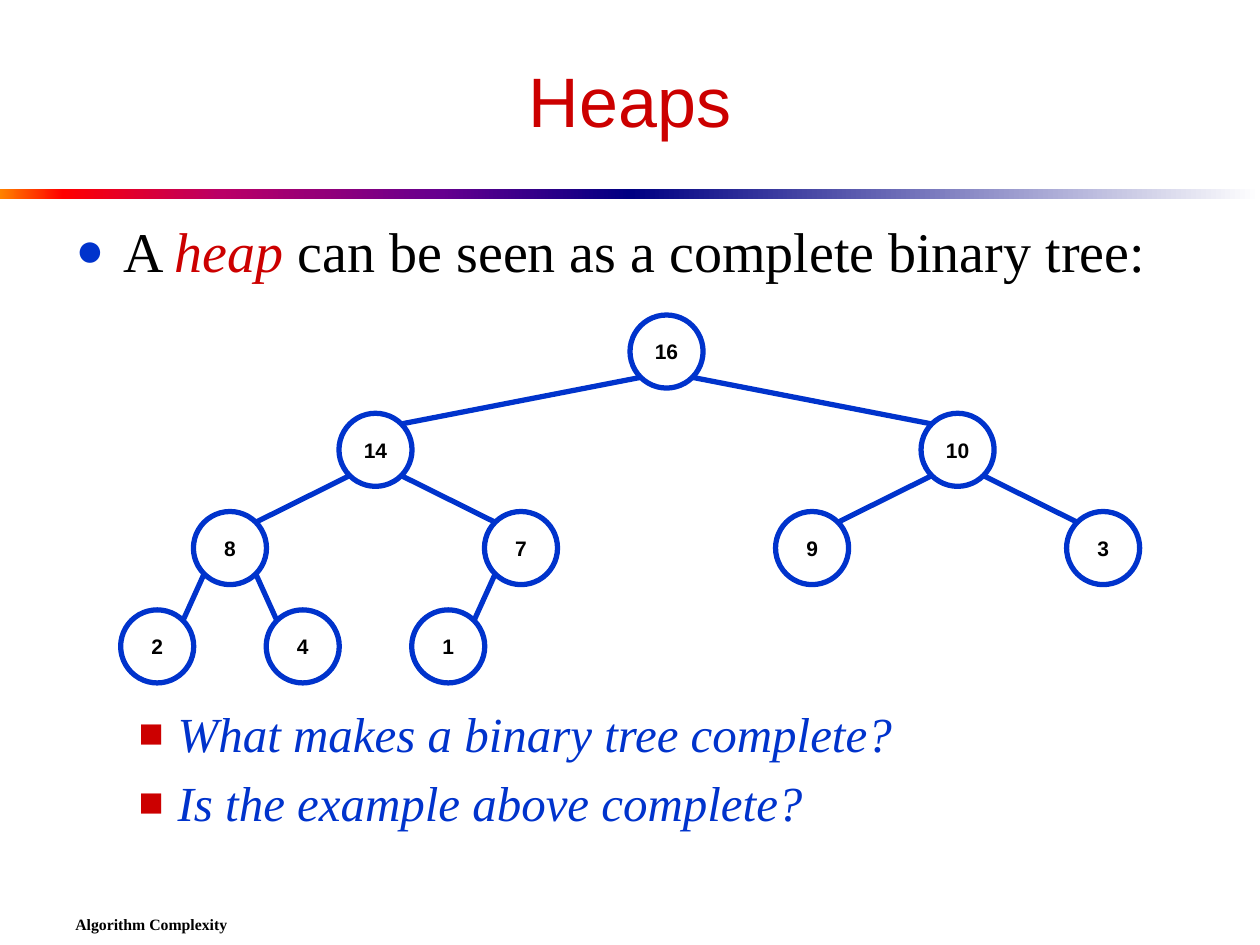
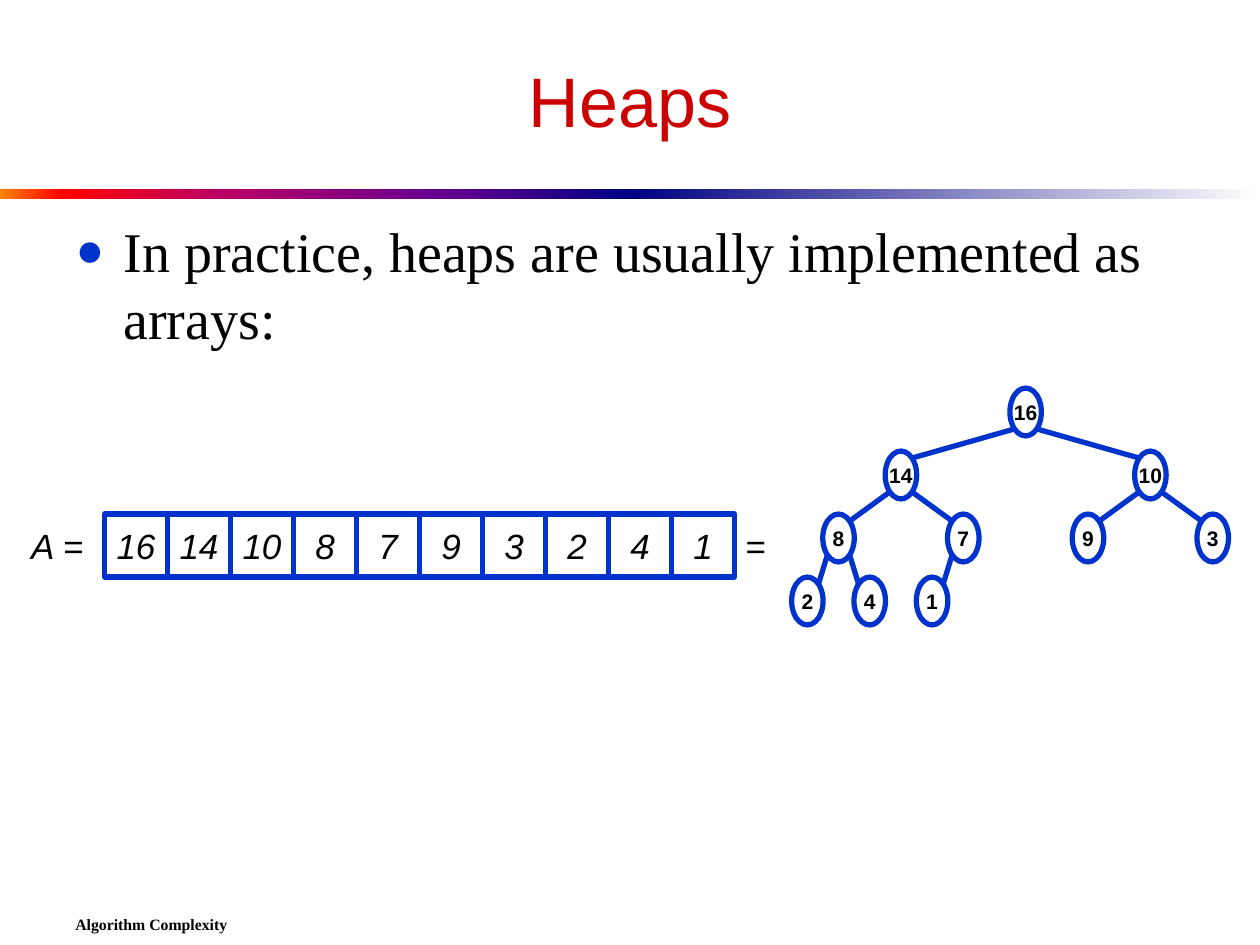
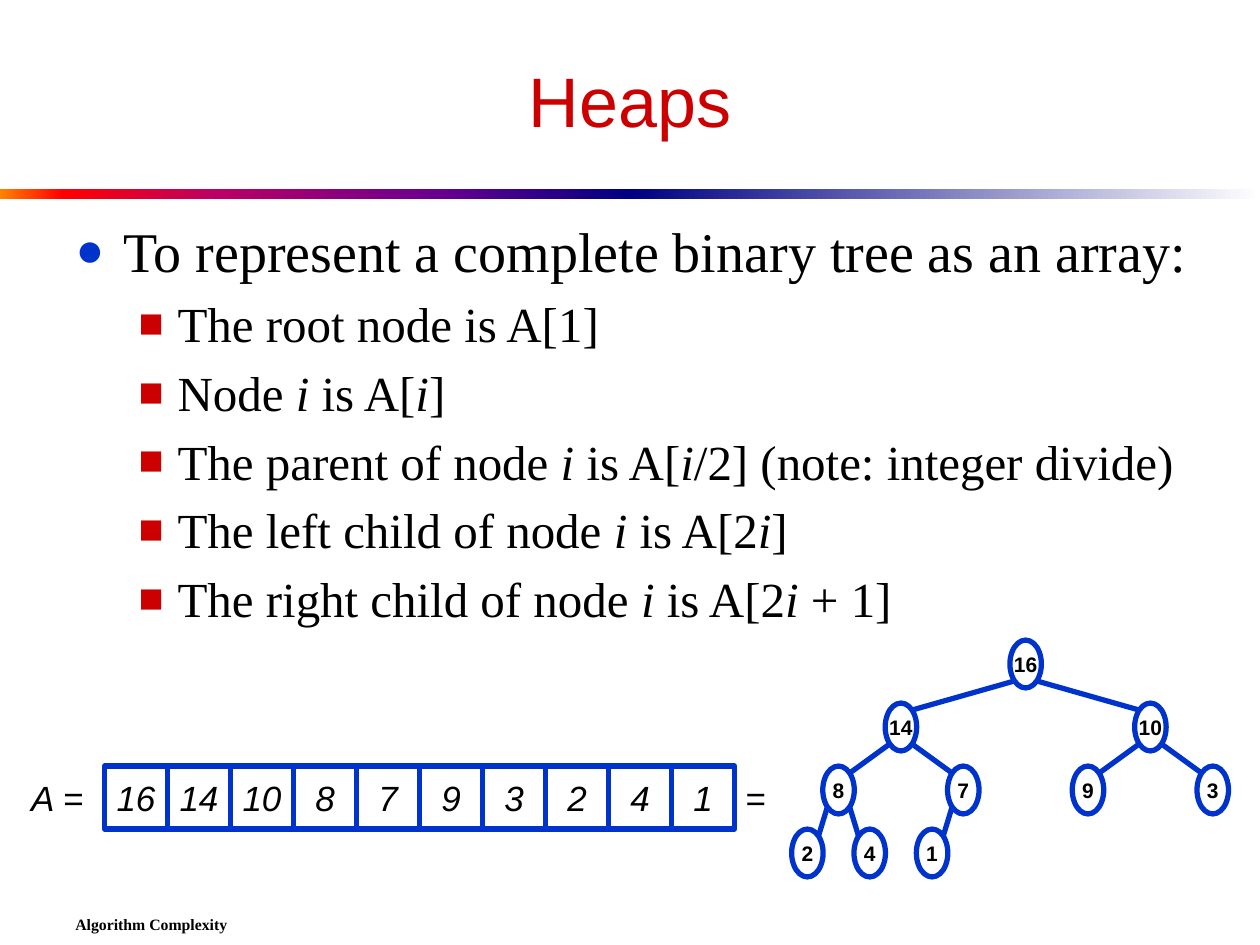
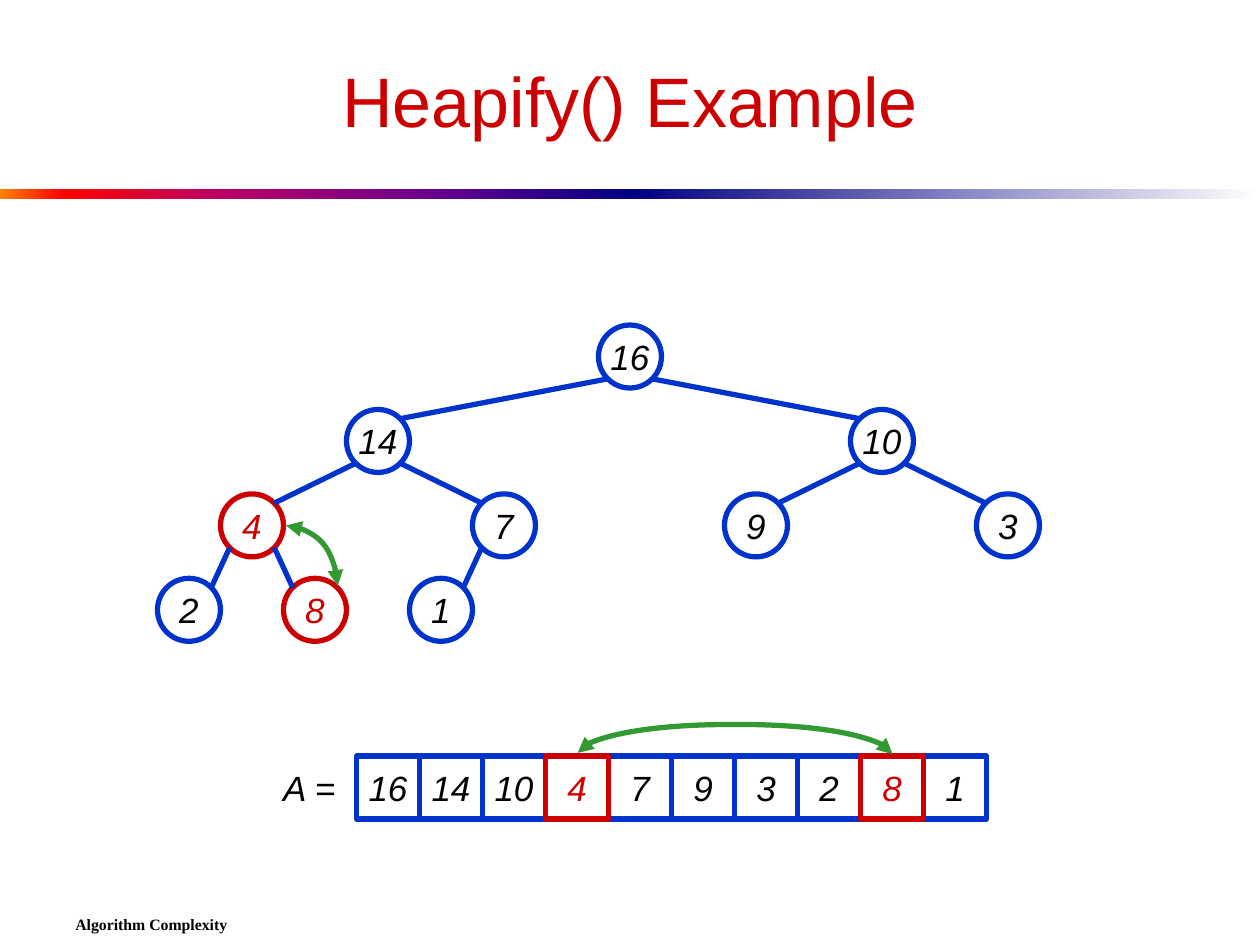
from math import cos, pi
from lxml.etree import SubElement
from pptx import Presentation
from pptx.dml.color import RGBColor
from pptx.enum.dml import MSO_LINE
from pptx.enum.shapes import MSO_CONNECTOR, MSO_SHAPE
from pptx.enum.text import MSO_ANCHOR, MSO_AUTO_SIZE, PP_ALIGN
from pptx.oxml.ns import qn
from pptx.util import Inches, Pt

RED, BLUE, GREEN, BLACK, WHITE = "CC0000", "0033CC", "339933", "000000", "FFFFFF"
SANS, SERIF = "Arial", "Times New Roman"
FOOTER = "Algorithm Complexity"
BANDS = [
    (0, [(0, "FF8200"), (10, "FF0000"), (35, "BA0066"), (70, "66008F"), (100, "000082")]),
    (5, [(0, "000082"), (100, WHITE)]),
]
LEVELS = [
    {"size": 32, "margin": 0.38, "hanging": 0.38, "bullet": "●", "color": BLUE},
    {"size": 28, "margin": 0.81, "hanging": 0.31, "bullet": "■", "color": RED},
]

HEAP = [16, 14, 10, 8, 7, 9, 3, 2, 4, 1]
UNORDERED = [16, 14, 10, 4, 7, 9, 3, 2, 8, 1]
SWAPPED = (3, 8)
CELL = 0.5
TREE_GAP = 240

LARGE_TREE = {"spread": 2.31, "row": 0.78, "width": 0.58, "height": 0.58, "size": 12, "bold": True}
SMALL_TREE = {"spread": 0.99, "row": 0.5, "width": 0.25, "height": 0.38, "size": 12, "bold": True}
SWAP_TREE = {"spread": 2, "row": 0.67, "width": 0.5, "height": 0.5, "size": 20, "italic": True}

TREE_POINTS = [
    (0, "A *heap* can be seen as a complete binary tree:", RED),
    (1, "*What makes a binary tree complete?*", BLUE),
    (1, "*Is the example above complete?*", BLUE),
]
ARRAY_POINTS = [(0, "In practice, heaps are usually implemented as arrays:", BLACK)]
INDEX_POINTS = [
    (0, "To represent a complete binary tree as an array:", BLACK),
    (1, "The root node is A[1]", BLACK),
    (1, "Node *i* is A[*i*]", BLACK),
    (1, "The parent of node *i* is A[*i*/2] (note: integer divide)", BLACK),
    (1, "The left child of node *i* is A[2*i*]", BLACK),
    (1, "The right child of node *i* is A[2*i* + 1]", BLACK),
]

presentation = Presentation()
presentation.slide_width, presentation.slide_height = Inches(10), Inches(7.5)
CONTENT_LAYOUT, TITLE_LAYOUT = presentation.slide_layouts[1], presentation.slide_layouts[5]


def rgb(color):
    return RGBColor.from_string(color)


def place(shape, left, top, width, height):
    shape.left, shape.top = Inches(left), Inches(top)
    shape.width, shape.height = Inches(width), Inches(height)


def set_font(font, name, size, color, bold=False, italic=False):
    font.name, font.size = name, Pt(size)
    font.bold, font.italic = bold, italic
    font.color.rgb = rgb(color)


def write_centred(shape, text, size, color=BLACK, bold=False, italic=False):
    frame = shape.text_frame
    frame.word_wrap = False
    frame.vertical_anchor = MSO_ANCHOR.MIDDLE
    frame.margin_left = frame.margin_right = frame.margin_top = frame.margin_bottom = 0
    paragraph = frame.paragraphs[0]
    paragraph.text = str(text)
    paragraph.alignment = PP_ALIGN.CENTER
    set_font(paragraph.font, SANS, size, color, bold, italic)


def add_box(slide, kind, left, top, width, height, text, color, **style):
    shape = slide.shapes.add_shape(kind, Inches(left), Inches(top), Inches(width), Inches(height))
    shape.shadow.inherit = False
    shape.fill.solid()
    shape.fill.fore_color.rgb = rgb(WHITE)
    shape.line.color.rgb = rgb(color)
    shape.line.width = Pt(3)
    write_centred(shape, text, color=RED if color == RED else BLACK, **style)


def add_label(slide, text, left, top, width):
    label = slide.shapes.add_textbox(Inches(left), Inches(top), Inches(width), Inches(CELL))
    write_centred(label, text, 20, italic=True)


def add_line(slide, start, end, color=BLUE, kind=MSO_CONNECTOR.STRAIGHT):
    line = slide.shapes.add_connector(kind, *(Inches(value) for value in (*start, *end)))
    line.line.color.rgb = rgb(color)
    line.line.width = Pt(3)
    line.line.dash_style = MSO_LINE.SOLID
    SubElement(line._element.spPr, qn("a:effectLst"))
    return line


def add_swap_arrow(slide, start, end):
    arrow = add_line(slide, start, end, GREEN, MSO_CONNECTOR.CURVE)
    outline = arrow.line._get_or_add_ln()
    for tag in ("a:headEnd", "a:tailEnd"):
        SubElement(outline, qn(tag), type="triangle")
    return arrow._element.spPr


def add_corner_arrow(slide, start, end):
    properties = add_swap_arrow(slide, start, end)
    properties.find(qn("a:prstGeom")).set("prst", "curvedConnector2")


def add_arch_arrow(slide, left, right, top, rise):
    middle, half, depth = (left + right) / 2, (right - left) / 2, 0.01
    properties = add_swap_arrow(slide, (middle, top + half), (middle + depth, top - half))
    properties.find(qn("a:xfrm")).set("rot", "5400000")
    guides = properties.find(qn("a:prstGeom")).find(qn("a:avLst"))
    SubElement(guides, qn("a:gd"), name="adj1", fmla=f"val {round(-rise / depth * 100000)}")


def add_tree(slide, values, root, shape_of, highlighted=()):
    width, height = shape_of["width"], shape_of["height"]
    style = {key: shape_of[key] for key in ("size", "bold", "italic") if key in shape_of}
    centres = [root]
    for index in range(1, len(values)):
        parent_x, parent_y = centres[(index - 1) // 2]
        depth = (index + 1).bit_length() - 1
        side = -1 if index % 2 else 1
        offset = side * shape_of["spread"] / 2 ** (depth - 1)
        centres.append((parent_x + offset, parent_y + shape_of["row"]))
    for index, (x, y) in enumerate(centres):
        color = RED if index in highlighted else BLUE
        add_box(slide, MSO_SHAPE.OVAL, x - width / 2, y - height / 2, width, height,
                values[index], color, **style)
    reach_x, reach_y = width / 2 * cos(pi / 4), height / 2 * cos(pi / 4)
    for index in range(1, len(values)):
        (parent_x, parent_y), (x, y) = centres[(index - 1) // 2], centres[index]
        side = -1 if index % 2 else 1
        add_line(slide, (parent_x + side * reach_x, parent_y + reach_y),
                 (x - side * reach_x, y - reach_y))
    return centres


def add_array(slide, values, left, top, highlighted=()):
    for index in sorted(range(len(values)), key=lambda position: position in highlighted):
        color = RED if index in highlighted else BLUE
        add_box(slide, MSO_SHAPE.RECTANGLE, left + index * CELL, top, CELL, CELL,
                values[index], color, size=20, italic=True)
    add_label(slide, "A =", left - 0.75, top, 0.75)


def add_array_and_tree(slide, top):
    add_tree(slide, HEAP, (8.14, top - 0.81), SMALL_TREE)
    add_array(slide, HEAP, 0.83, top)
    add_label(slide, "=", 0.83 + len(HEAP) * CELL, top, 0.33)


def add_points(slide, points, gaps=None, width=9):
    body = slide.placeholders[1]
    place(body, 0.5, 1.67, width, 4.75)
    frame = body.text_frame
    frame.auto_size = MSO_AUTO_SIZE.NONE
    for number, (level, text, emphasis) in enumerate(points):
        look = LEVELS[level]
        paragraph = frame.paragraphs[0] if number == 0 else frame.add_paragraph()
        paragraph.level = level
        paragraph.space_before = Pt((gaps or {}).get(number, look["size"] * 0.2))
        properties = paragraph._p.get_or_add_pPr()
        properties.set("marL", str(Inches(look["margin"])))
        properties.set("indent", str(-Inches(look["hanging"])))
        SubElement(SubElement(properties, qn("a:buClr")), qn("a:srgbClr"), val=look["color"])
        SubElement(properties, qn("a:buSzPct"), val="85000")
        SubElement(properties, qn("a:buChar"), char=look["bullet"])
        set_font(paragraph.font, SERIF, look["size"], BLACK)
        for part, words in enumerate(text.split("*")):
            if words:
                run = paragraph.add_run()
                run.text = words
                if part % 2:
                    run.font.italic = True
                    run.font.color.rgb = rgb(emphasis)


def add_slide(title, layout=CONTENT_LAYOUT):
    slide = presentation.slides.add_slide(layout)
    place(slide.shapes.title, 0.5, 0.25, 9, 1.08)
    frame = slide.shapes.title.text_frame
    frame.vertical_anchor = MSO_ANCHOR.MIDDLE
    frame.auto_size = MSO_AUTO_SIZE.NONE
    paragraph = frame.paragraphs[0]
    paragraph.text = title
    paragraph.alignment = PP_ALIGN.CENTER
    set_font(paragraph.font, SANS, 40, RED)
    footer = slide.shapes.add_textbox(Inches(0.5), Inches(7.17), Inches(9), Inches(0.33))
    footer.text_frame.word_wrap = True
    footer.text_frame.vertical_anchor = MSO_ANCHOR.MIDDLE
    paragraph = footer.text_frame.paragraphs[0]
    paragraph.text = FOOTER
    set_font(paragraph.font, SERIF, 9, BLACK, bold=True)
    return slide


def add_master_bands(slide):
    for left, stops in BANDS:
        band = slide.shapes.add_shape(MSO_SHAPE.RECTANGLE, Inches(left), Inches(1.5),
                                      Inches(5), Inches(0.08))
        band.shadow.inherit = False
        band.line.fill.background()
        band.fill.gradient()
        band.fill.gradient_angle = 0
        stop_list = band._element.spPr.find(qn("a:gradFill")).find(qn("a:gsLst"))
        stop_list.clear()
        for position, color in stops:
            stop = SubElement(stop_list, qn("a:gs"), pos=str(position * 1000))
            SubElement(stop, qn("a:srgbClr"), val=color)
        presentation.slide_master.shapes._spTree.append(band._element)


slide = add_slide("Heaps")
add_master_bands(slide)
add_points(slide, TREE_POINTS, gaps={1: TREE_GAP})
add_tree(slide, HEAP, (5.29, 2.79), LARGE_TREE)

slide = add_slide("Heaps")
add_points(slide, ARRAY_POINTS)
add_array_and_tree(slide, 4.08)

slide = add_slide("Heaps")
add_points(slide, INDEX_POINTS, width=9.08)
add_array_and_tree(slide, 6.08)

slide = add_slide("Heapify() Example", TITLE_LAYOUT)
centres = add_tree(slide, UNORDERED, (5, 2.83), SWAP_TREE, SWAPPED)
(parent_x, parent_y), (child_x, child_y) = (centres[index] for index in SWAPPED)
add_corner_arrow(slide, (parent_x + 0.27, parent_y), (child_x + 0.18, child_y - 0.19))
array_left, array_top = 2.83, 6
add_array(slide, UNORDERED, array_left, array_top, SWAPPED)
first, second = (array_left + (index + 0.5) * CELL for index in SWAPPED)
add_arch_arrow(slide, first, second, array_top - 0.02, 0.23)

presentation.save("out.pptx")
